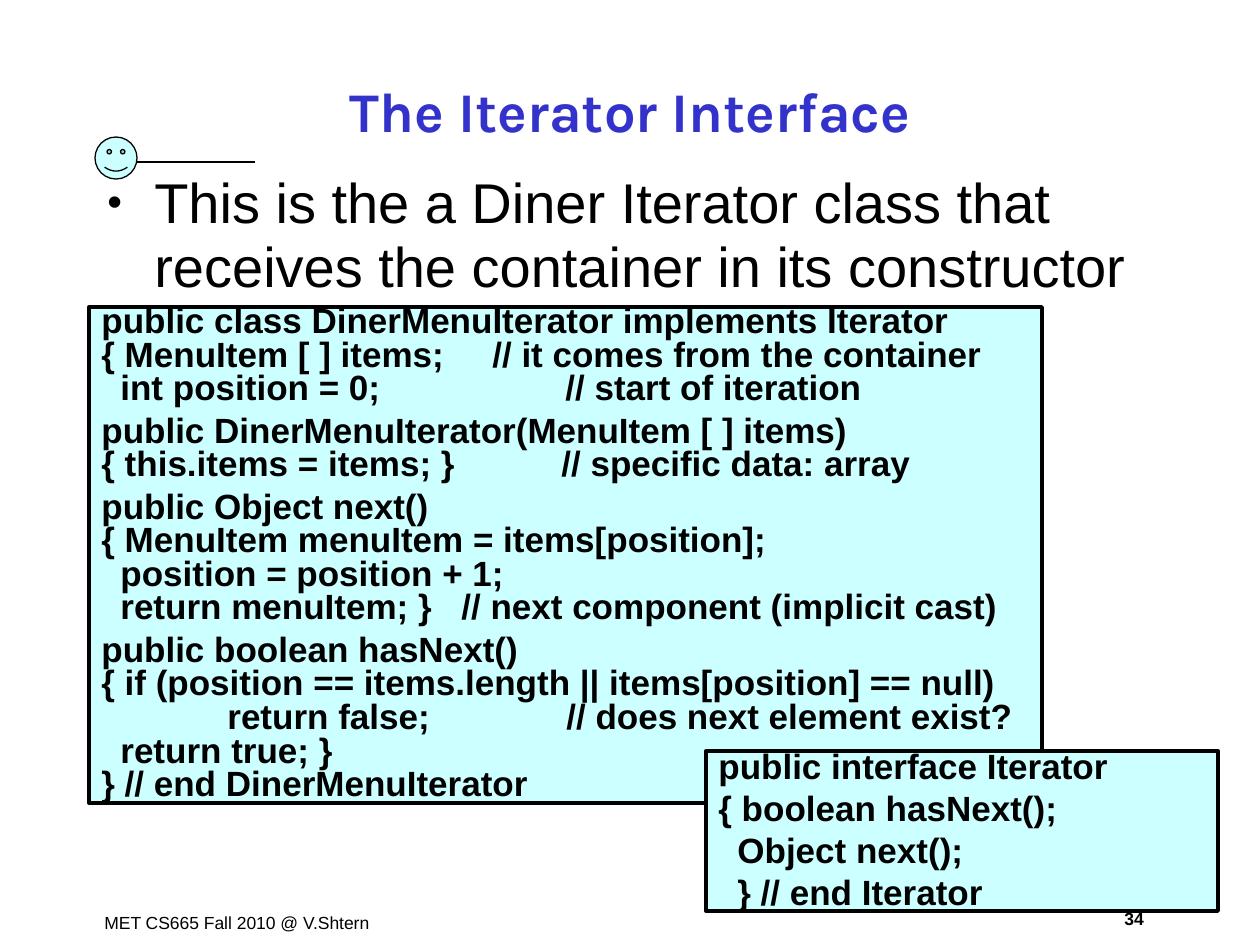
from dataclasses import dataclass

from lxml import etree
from pptx import Presentation
from pptx.dml.color import RGBColor
from pptx.enum.shapes import MSO_CONNECTOR, MSO_SHAPE
from pptx.enum.text import MSO_ANCHOR, PP_ALIGN
from pptx.oxml.ns import qn
from pptx.util import Emu, Pt

PX = 914400 / 126
LEFT, CENTER = PP_ALIGN.LEFT, PP_ALIGN.CENTER
TOP, MIDDLE = MSO_ANCHOR.TOP, MSO_ANCHOR.MIDDLE
RECT, SMILEY = MSO_SHAPE.RECTANGLE, MSO_SHAPE.SMILEY_FACE
STRAIGHT = MSO_CONNECTOR.STRAIGHT


@dataclass(frozen=True)
class Theme:
    ink: RGBColor = RGBColor(0, 0, 0)
    accent: RGBColor = RGBColor(0x33, 0x33, 0xCC)
    panel: RGBColor = RGBColor(0xCC, 0xFF, 0xFF)
    heading_font: str = "Karla"
    body_font: str = "Arial"
    large: int = 32
    code: int = 20
    small: int = 10


THEME = Theme()
STEP = 19  # width of one code indent

# Each line: text, tab stops in px, starts a new member
ITERATOR_CLASS = [
    ("public class DinerMenuIterator implements Iterator", (), False),
    ("{ MenuItem [ ] items;\t// it comes from the container", (391,), False),
    ("\tint position = 0;\t// start of iteration", (STEP, 464), False),
    ("public DinerMenuIterator(MenuItem [ ] items)", (), True),
    ("{ this.items = items; }\t// specific data: array", (460,), False),
    ("public Object next()", (), True),
    ("{ MenuItem menuItem = items[position];", (), False),
    ("\tposition = position + 1;", (STEP,), False),
    ("\treturn menuItem; }\t// next component (implicit cast)", (STEP, 360), False),
    ("public boolean hasNext()", (), True),
    ("{ if (position == items.length || items[position] == null)", (), False),
    ("\treturn false;\t// does next element exist?", (126, 465), False),
    ("\treturn true; }", (STEP,), False),
    ("} // end DinerMenuIterator", (), False),
]
ITERATOR_INTERFACE = [
    ("public interface Iterator", (), True),
    ("{ boolean hasNext();", (), True),
    ("\tObject next();", (STEP,), True),
    ("\t} // end Iterator", (STEP,), True),
]


def px(n):
    return Emu(round(n * PX))


def box_emu(box):
    return [px(n) for n in box]


def write(p, text, size, font=THEME.body_font, color=THEME.ink, bold=False, **layout):
    """Fill a paragraph with one run; layout holds paragraph attributes."""
    for name, value in layout.items():
        setattr(p, name, value)
    r = p.add_run()
    r.text = text
    for name, value in {"size": Pt(size), "name": font, "bold": bold}.items():
        setattr(r.font, name, value)
    r.font.color.rgb = color


def add_text(slide, box, text, size, anchor=TOP, **style):
    tf = slide.shapes.add_textbox(*box_emu(box)).text_frame
    tf.word_wrap = True
    tf.vertical_anchor = anchor
    write(tf.paragraphs[0], text, size, **style)
    return tf.paragraphs[0]


def add_panel(slide, kind, box, width):
    sp = slide.shapes.add_shape(kind, *box_emu(box))
    sp.shadow.inherit = False
    sp.fill.solid()
    sp.fill.fore_color.rgb = THEME.panel
    sp.line.color.rgb = THEME.ink
    sp.line.width = Pt(width)
    return sp


def add_tabs(p, stops):
    tabs = etree.SubElement(p._p.get_or_add_pPr(), qn("a:tabLst"))
    for stop in stops:
        etree.SubElement(tabs, qn("a:tab"), pos=str(px(stop)), algn="l")


def add_bullet(p, indent):
    ppr = p._p.get_or_add_pPr()
    ppr.set("marL", str(px(indent)))
    ppr.set("indent", str(-px(indent)))
    etree.SubElement(ppr, qn("a:buSzPct"), val="75000")
    etree.SubElement(ppr, qn("a:buFont"), typeface=THEME.body_font)
    etree.SubElement(ppr, qn("a:buChar"), char="•")


def add_header(slide, box):
    """Title with the smiley and its rule at the lower left."""
    x, y, w, h = box
    add_text(slide, box, "The Iterator Interface", THEME.large, MIDDLE,
             font=THEME.heading_font, color=THEME.accent, bold=True, alignment=CENTER)
    face = 42
    add_panel(slide, SMILEY, (x, y + 77, face, face), 0.75)
    rule_y = y + h + 1
    rule = slide.shapes.add_connector(
        STRAIGHT, *box_emu((x + face, rule_y, x + 160, rule_y)))
    rule.line.color.rgb = THEME.ink
    rule.line.width = Pt(1)
    etree.SubElement(rule._element.spPr, qn("a:effectLst"))


def add_body(slide, box):
    p = add_text(slide, box, "This is the a Diner Iterator class that receives "
                 "the container in its constructor", THEME.large,
                 line_spacing=0.95, space_before=Pt(8))
    add_bullet(p, 47)


def add_code(slide, box, lines, line_spacing, gap):
    sp = add_panel(slide, RECT, box, 2.25)
    tf = sp.text_frame
    tf.word_wrap = True
    tf.vertical_anchor = MIDDLE
    for i, (text, stops, spaced) in enumerate(lines):
        p = tf.add_paragraph() if i else tf.paragraphs[0]
        write(p, text, THEME.code, bold=True, alignment=LEFT,
              line_spacing=line_spacing, space_before=Pt(gap if spaced else 0))
        if stops:
            add_tabs(p, stops)


def add_footer(slide, box):
    x, y, w, h = box
    number_w = 68
    add_text(slide, (x, y + 4, 304, h), "MET CS665 Fall 2010 @ V.Shtern",
             THEME.small, space_before=Pt(6.2))
    add_text(slide, (x + w - number_w, y, number_w, h), "34", THEME.small,
             bold=True, alignment=CENTER, space_before=Pt(6.2))


def main():
    prs = Presentation()
    prs.slide_width, prs.slide_height = px(1260), px(945)
    slide = prs.slides.add_slide(prs.slide_layouts[6])
    add_footer(slide, (92, 902, 1076, 34))
    add_header(slide, (95, 60, 1071, 101))
    add_body(slide, (95, 166, 1071, 726))
    add_code(slide, (89, 307, 953, 496), ITERATOR_CLASS, 0.8, 5)
    add_code(slide, (706, 751, 512, 160), ITERATOR_INTERFACE, 0.9, 2.5)
    prs.save("out.pptx")


if __name__ == "__main__":
    main()
